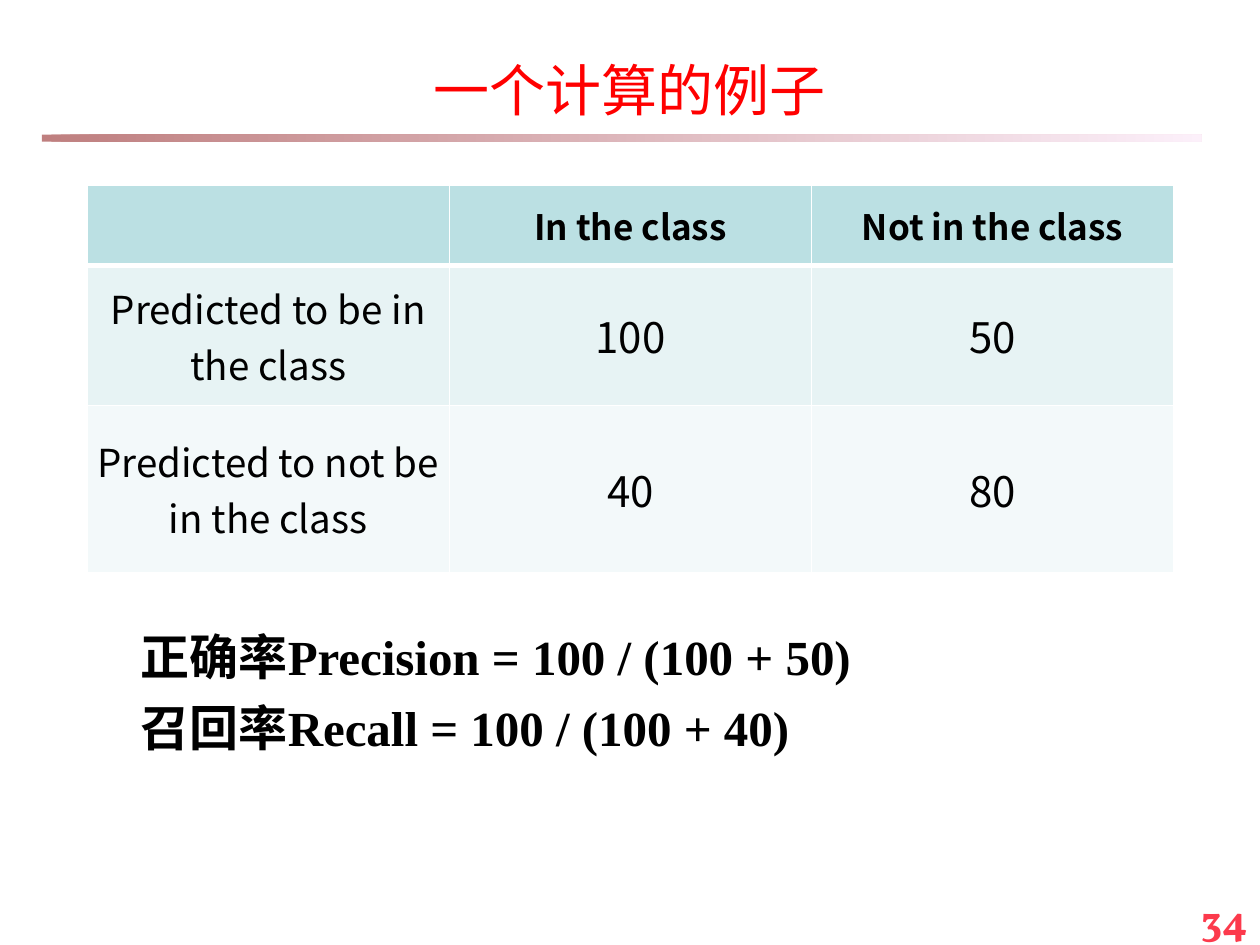
from pptx import Presentation
from pptx.dml.color import RGBColor
from pptx.enum.shapes import MSO_SHAPE
from pptx.enum.text import MSO_ANCHOR, PP_ALIGN
from pptx.oxml.ns import qn
from pptx.util import Pt
from lxml import etree

CENTER, RIGHT = PP_ALIGN.CENTER, PP_ALIGN.RIGHT
MIDDLE = MSO_ANCHOR.MIDDLE
RECTANGLE = MSO_SHAPE.RECTANGLE

BLACK = RGBColor(0x00, 0x00, 0x00)
WHITE = RGBColor(0xFF, 0xFF, 0xFF)
RED = RGBColor(0xFF, 0x00, 0x00)
NUMBER_RED = RGBColor(0xFC, 0x3A, 0x4C)
MAROON = RGBColor(0x80, 0x00, 0x00)
PINK = RGBColor(0xFA, 0xE2, 0xF6)
ROW_FILLS = [RGBColor(0xBB, 0xE0, 0xE3), RGBColor(0xE7, 0xF3, 0xF4),
             RGBColor(0xF3, 0xF9, 0xFA)]

SANS, SERIF, NUMBER_FONT = "Noto Sans CJK SC", "Times New Roman", "Vollkorn"

COUNTS = [["", "In the class", "Not in the class"],
          ["Predicted to be in the class", "100", "50"],
          ["Predicted to not be in the class", "40", "80"]]
ROW_HEIGHTS = [46, 80, 95.5]
COLUMN_WIDTH = 207
FORMULAS = ["正确率Precision = 100 / (100 + 50)",
            "召回率Recall = 100 / (100 + 40)"]


def format_runs(para, font, size, color, bold=False):
    for span in para.runs:
        span.font.name = font
        span.font.size = Pt(size)
        span.font.color.rgb = color
        span.font.bold = bold
        east_asian = etree.SubElement(span.font._element, qn("a:ea"))
        east_asian.set("typeface", SANS)


def add_title(page, text):
    title = page.shapes.title
    title.left, title.top, title.width, title.height = Pt(0), Pt(4.5), Pt(720), Pt(73.5)
    title.text_frame.text = text
    title.text_frame.vertical_anchor = MIDDLE
    para = title.text_frame.paragraphs[0]
    para.alignment = CENTER
    para.line_spacing = 1.5
    format_runs(para, SANS, 32, RED)


def add_rule(page):
    rule = page.shapes.add_shape(RECTANGLE, Pt(24), Pt(77), Pt(662.5), Pt(4))
    rule.shadow.inherit = False
    rule.line.fill.background()
    rule.fill.gradient()
    rule.fill.gradient_angle = 0
    for stop, position, color in zip(rule.fill.gradient_stops, (0, 1), (MAROON, PINK)):
        stop.position = position
        stop.color.rgb = color
    # Half-transparent stops
    for color in rule._element.spPr.iter(qn("a:srgbClr")):
        etree.SubElement(color, qn("a:alpha")).set("val", "50000")


def set_borders(cell, bottom_width):
    properties = cell._tc.get_or_add_tcPr()
    widths = {"a:lnL": 1, "a:lnR": 1, "a:lnT": 1, "a:lnB": bottom_width}
    for index, (side, width) in enumerate(widths.items()):
        line = etree.Element(qn(side), w=str(Pt(width)))
        fill = etree.SubElement(line, qn("a:solidFill"))
        etree.SubElement(fill, qn("a:srgbClr")).set("val", str(WHITE))
        properties.insert(index, line)


def add_counts_table(page):
    frame = page.shapes.add_table(len(COUNTS), len(COUNTS[0]), Pt(49.75), Pt(105.75),
                                  Pt(3 * COLUMN_WIDTH), Pt(sum(ROW_HEIGHTS)))
    table = frame.table
    for column in table.columns:
        column.width = Pt(COLUMN_WIDTH)
    for i, texts in enumerate(COUNTS):
        table.rows[i].height = Pt(ROW_HEIGHTS[i])
        for j, text in enumerate(texts):
            cell = table.cell(i, j)
            cell.fill.solid()
            cell.fill.fore_color.rgb = ROW_FILLS[i]
            cell.margin_left = cell.margin_right = Pt(5)
            cell.vertical_anchor = MIDDLE
            cell.text_frame.text = text
            para = cell.text_frame.paragraphs[0]
            para.alignment = CENTER
            size = 20 if i == 0 else 22 if j == 0 else 24
            format_runs(para, SANS, size, BLACK, bold=i == 0)
            set_borders(cell, 3 if i == 0 else 1)


def add_text(page, left, top, width, height, lines, font, size, color):
    box = page.shapes.add_textbox(Pt(left), Pt(top), Pt(width), Pt(height))
    box.text_frame.word_wrap = True
    box.text_frame.text = "\n".join(lines)
    for para in box.text_frame.paragraphs:
        format_runs(para, font, size, color, bold=True)
    return box.text_frame.paragraphs


def main():
    deck = Presentation()
    deck.slide_width, deck.slide_height = Pt(720), Pt(540)
    page = deck.slides.add_slide(deck.slide_layouts[5])

    # Heading
    add_rule(page)
    add_title(page, "一个计算的例子")

    # Confusion table and the two measures
    add_counts_table(page)
    formulas = add_text(page, 73.5, 354.25, 621, 82, FORMULAS, SERIF, 28, BLACK)
    for para in formulas[1:]:
        para.space_before = Pt(7)

    # Page number
    number = add_text(page, 552, 507, 168, 32, ["34"], NUMBER_FONT, 24, NUMBER_RED)
    number[0].alignment = RIGHT

    deck.save("out.pptx")


if __name__ == "__main__":
    main()
